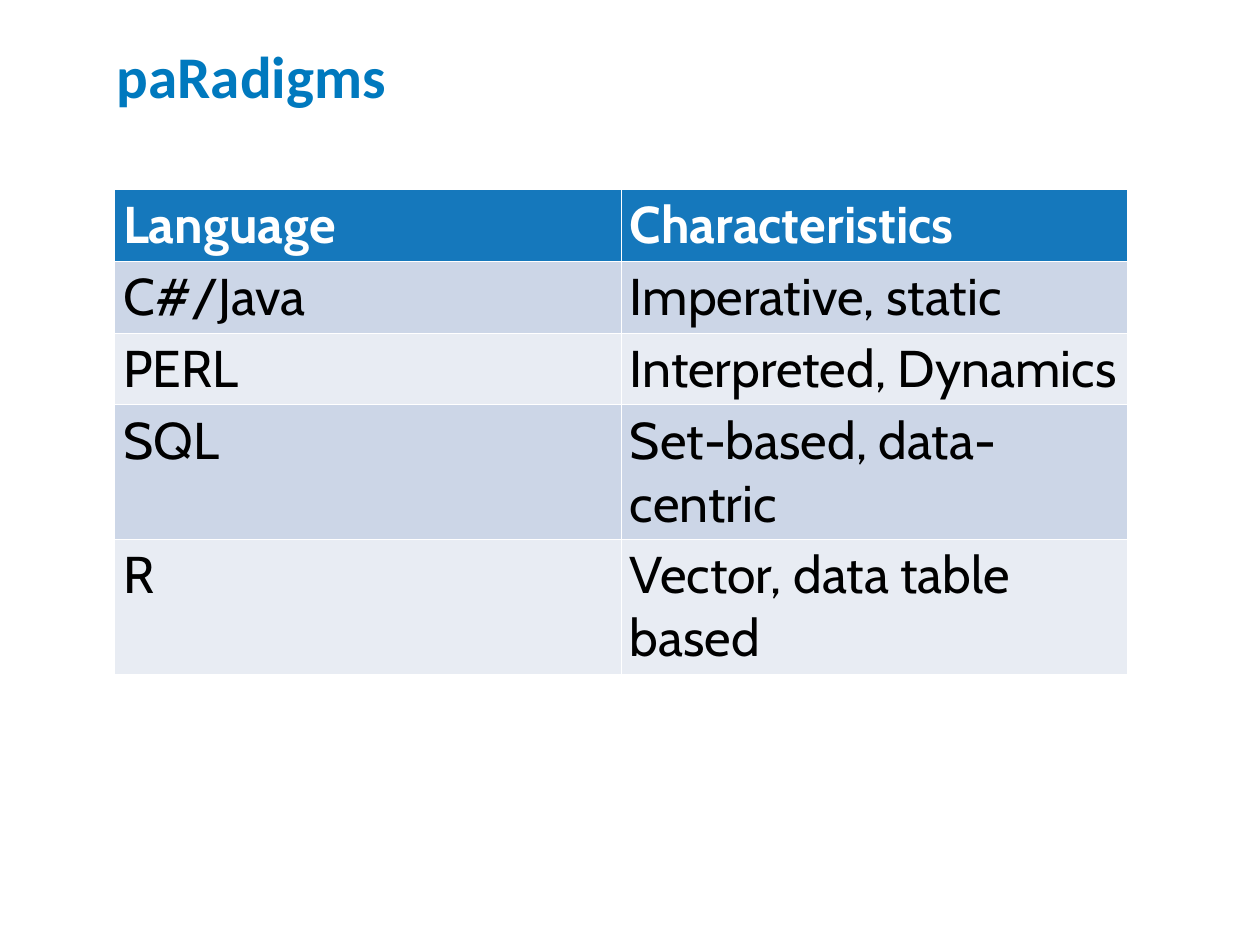
from pptx import Presentation
from pptx.dml.color import RGBColor as RGB
from pptx.enum.text import MSO_ANCHOR as Anchor, PP_ALIGN as Align
from pptx.util import Inches, Pt

COLORS = {"title": "0079BE", "header": "1578BC", "odd": "CCD6E7",
          "even": "E8ECF3", "white": "FFFFFF", "black": "000000"}
ROWS = [("Language", "Characteristics"),
        ("C#/Java", "Imperative, static"),
        ("PERL", "Interpreted, Dynamics"),
        ("SQL", "Set-based, data-centric"),
        ("R", "Vector, data table based")]


def style(p, font, size, color, bold):
    """Left-align a paragraph and set its font."""
    p.alignment = Align.LEFT
    p.font.name, p.font.size, p.font.bold = font, Pt(size), bold
    p.font.color.rgb = RGB.from_string(COLORS[color])


def add_title(s, text, x, y, w, h):
    """Place the slide title at the bottom of its box."""
    sp = s.shapes.title
    sp.left, sp.top, sp.width, sp.height = map(Inches, (x, y, w, h))
    tf = sp.text_frame
    tf.text = text
    tf.vertical_anchor = Anchor.BOTTOM
    tf.margin_left = tf.margin_right = Inches(0.06)
    tf.margin_top = tf.margin_bottom = Inches(0.06)
    style(tf.paragraphs[0], "Calibri", 48, "title", True)


def add_languages(s, rows, x, y, w, h):
    """Draw the language table with a header and banded rows."""
    table = s.shapes.add_table(len(rows), len(rows[0]),
                               *map(Inches, (x, y, w, h))).table
    for i, row in enumerate(rows):
        head = i == 0
        fill = "header" if head else "odd" if i % 2 else "even"
        for j, text in enumerate(row):
            cell = table.cell(i, j)
            cell.text = text
            cell.fill.solid()
            cell.fill.fore_color.rgb = RGB.from_string(COLORS[fill])
            style(cell.text_frame.paragraphs[0], "Cabin", 42,
                  "white" if head else "black", head)


def main():
    """Build and save the slide."""
    prs = Presentation()
    prs.slide_width, prs.slide_height = Inches(14.22), Inches(10.67)
    s = prs.slides.add_slide(prs.slide_layouts[5])
    add_title(s, "paRadigms", 1.26, -0.25, 11.44, 1.56)
    add_languages(s, ROWS, 1.29, 2.14, 11.44, 2.03)
    prs.save("out.pptx")


if __name__ == "__main__":
    main()
